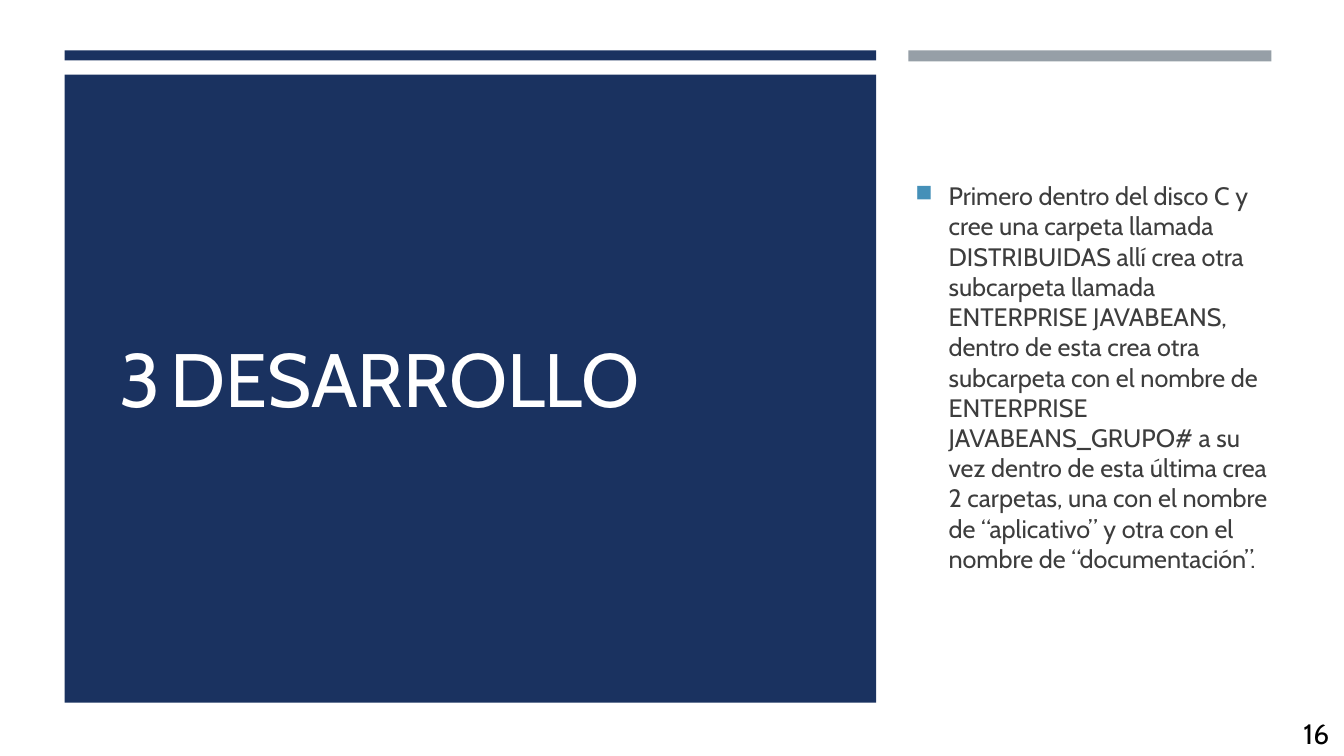
from dataclasses import dataclass

from lxml import etree
from pptx import Presentation
from pptx.dml.color import RGBColor
from pptx.enum.shapes import MSO_SHAPE
from pptx.enum.text import MSO_ANCHOR, MSO_AUTO_SIZE
from pptx.oxml.ns import qn
from pptx.slide import Slide
from pptx.text.text import _Paragraph
from pptx.util import Emu, Inches, Pt

RECTANGLE = MSO_SHAPE.RECTANGLE
TOP, MIDDLE = MSO_ANCHOR.TOP, MSO_ANCHOR.MIDDLE
GROW = MSO_AUTO_SIZE.SHAPE_TO_FIT_TEXT
FIXED = MSO_AUTO_SIZE.NONE

SLIDE_WIDTH, SLIDE_HEIGHT = 13.33, 7.5
FONT = "Cabin"
NAVY, GREY, WHITE, BLACK = "1A3260", "969FA7", "FFFFFF", "000000"
BODY_GREY, BULLET_BLUE = "3D3D3D", "4590B8"

MAIN_LEFT, MAIN_WIDTH = 0.64, 8.05
SIDE_LEFT, SIDE_WIDTH = 9.01, 3.6
BAR_TOP, PANEL_TOP, PANEL_HEIGHT = 0.5, 0.74, 6.23
TEXT_TOP, TEXT_HEIGHT = 1.26, 4.96
TITLE_TAB, BULLET_INDENT = 0.5, 0.33

INSTRUCTIONS = (
    "Primero dentro del disco C y cree una carpeta llamada DISTRIBUIDAS allí "
    "crea otra subcarpeta llamada ENTERPRISE JAVABEANS, dentro de esta crea "
    "otra subcarpeta con el nombre de ENTERPRISE JAVABEANS_GRUPO# a su vez "
    "dentro de esta última crea 2 carpetas, una con el nombre de “aplicativo” "
    "y otra con el nombre de “documentación”."
)


@dataclass(frozen=True)
class Area:
    left: float
    top: float
    width: float
    height: float

    def lengths(self) -> tuple[Emu, Emu, Emu, Emu]:
        return (Inches(self.left), Inches(self.top),
                Inches(self.width), Inches(self.height))


@dataclass(frozen=True)
class Band:
    area: Area
    colour: str


@dataclass(frozen=True)
class Caption:
    area: Area
    text: str
    size: int
    colour: str
    anchor: MSO_ANCHOR = MIDDLE
    auto_size: MSO_AUTO_SIZE = FIXED


BANDS = (
    Band(Area(MAIN_LEFT, BAR_TOP, MAIN_WIDTH, 0.1), NAVY),
    Band(Area(SIDE_LEFT, BAR_TOP, SIDE_WIDTH, 0.11), GREY),
    Band(Area(MAIN_LEFT, PANEL_TOP, MAIN_WIDTH, PANEL_HEIGHT), NAVY),
)
TITLE = Caption(Area(1.09, TEXT_TOP, 7.2, TEXT_HEIGHT), "3\tDESARROLLO", 54, WHITE)
BODY = Caption(Area(8.98, TEXT_TOP, 3.72, TEXT_HEIGHT), INSTRUCTIONS, 18, BODY_GREY)
PAGE_NUMBER = Caption(Area(SLIDE_WIDTH - 0.5, SLIDE_HEIGHT - 0.44, 0.5, 0.44),
                      "16", 20, BLACK, TOP, GROW)


def rgb(colour: str) -> RGBColor:
    return RGBColor.from_string(colour)


def draw_band(slide: Slide, band: Band) -> None:
    rectangle = slide.shapes.add_shape(RECTANGLE, *band.area.lengths())
    rectangle.shadow.inherit = False
    rectangle.fill.solid()
    rectangle.fill.fore_color.rgb = rgb(band.colour)
    rectangle.line.fill.background()


def draw_caption(slide: Slide, caption: Caption) -> _Paragraph:
    frame = slide.shapes.add_textbox(*caption.area.lengths()).text_frame
    frame.word_wrap = True
    frame.vertical_anchor = caption.anchor
    frame.auto_size = caption.auto_size
    paragraph = frame.paragraphs[0]
    paragraph.text = caption.text
    paragraph.font.name = FONT
    paragraph.font.size = Pt(caption.size)
    paragraph.font.color.rgb = rgb(caption.colour)
    return paragraph


def add_tab_stop(paragraph: _Paragraph, position: float) -> None:
    stops = etree.Element(qn("a:tabLst"))
    etree.SubElement(stops, qn("a:tab"), pos=str(Inches(position)), algn="l")
    paragraph._p.get_or_add_pPr().insert(0, stops)


def add_bullet(paragraph: _Paragraph, indent: float) -> None:
    paragraph.space_after = Pt(6)
    properties = paragraph._p.get_or_add_pPr()
    properties.set("marL", str(Inches(indent)))
    properties.set("indent", str(-Inches(indent)))
    colour = etree.Element(qn("a:buClr"))
    etree.SubElement(colour, qn("a:srgbClr"), val=BULLET_BLUE)
    size = etree.Element(qn("a:buSzPct"), val="92000")
    mark = etree.Element(qn("a:buChar"), char="■")
    run_defaults = properties.find(qn("a:defRPr"))
    for part in (colour, size, mark):
        run_defaults.addprevious(part)


def main() -> None:
    """Build the section slide and save it."""
    deck = Presentation()
    deck.slide_width, deck.slide_height = Inches(SLIDE_WIDTH), Inches(SLIDE_HEIGHT)
    slide = deck.slides.add_slide(deck.slide_layouts[6])
    slide.background.fill.solid()
    slide.background.fill.fore_color.rgb = rgb(WHITE)
    for band in BANDS:
        draw_band(slide, band)
    add_tab_stop(draw_caption(slide, TITLE), TITLE_TAB)
    add_bullet(draw_caption(slide, BODY), BULLET_INDENT)
    draw_caption(slide, PAGE_NUMBER)
    deck.save("out.pptx")


if __name__ == "__main__":
    main()
